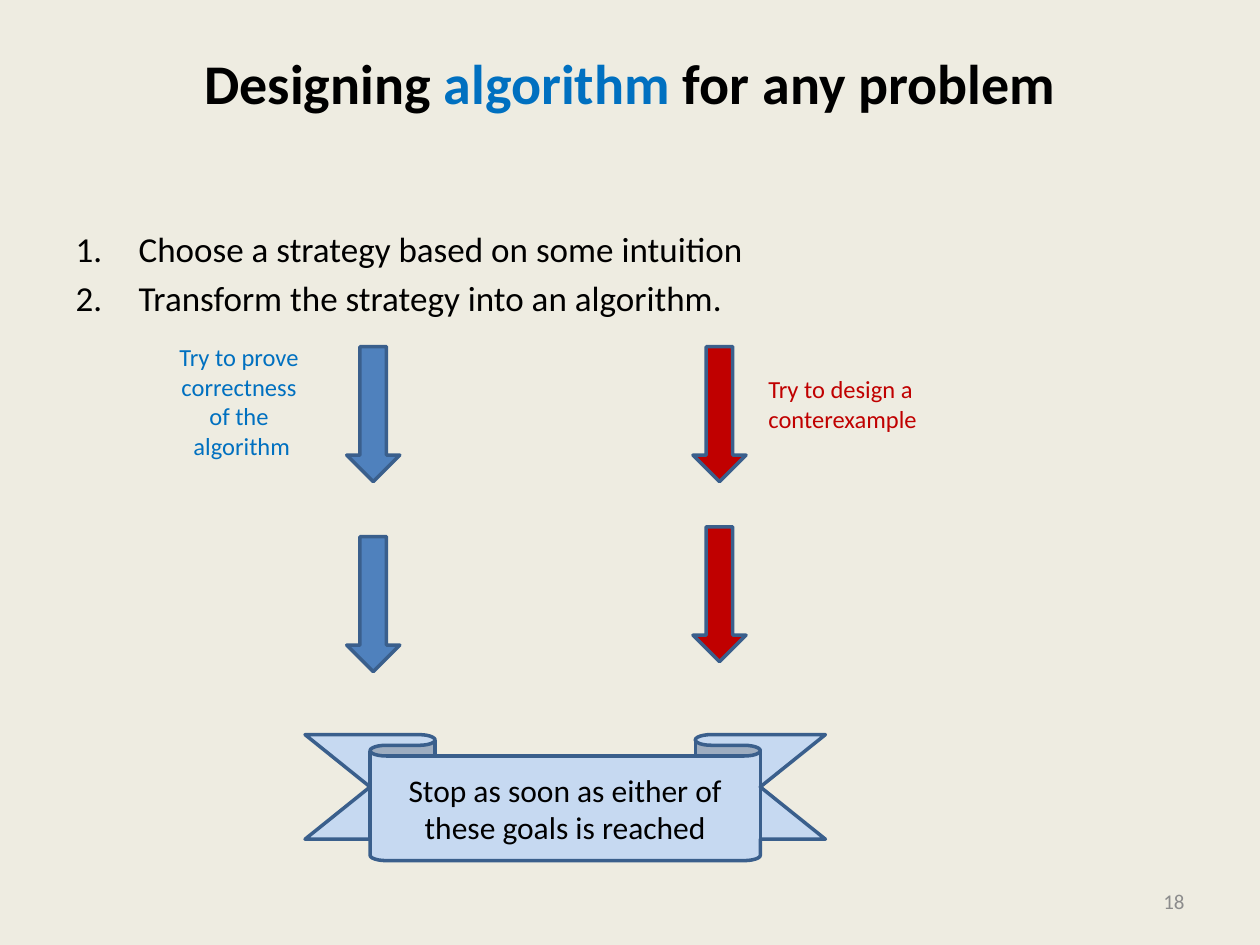
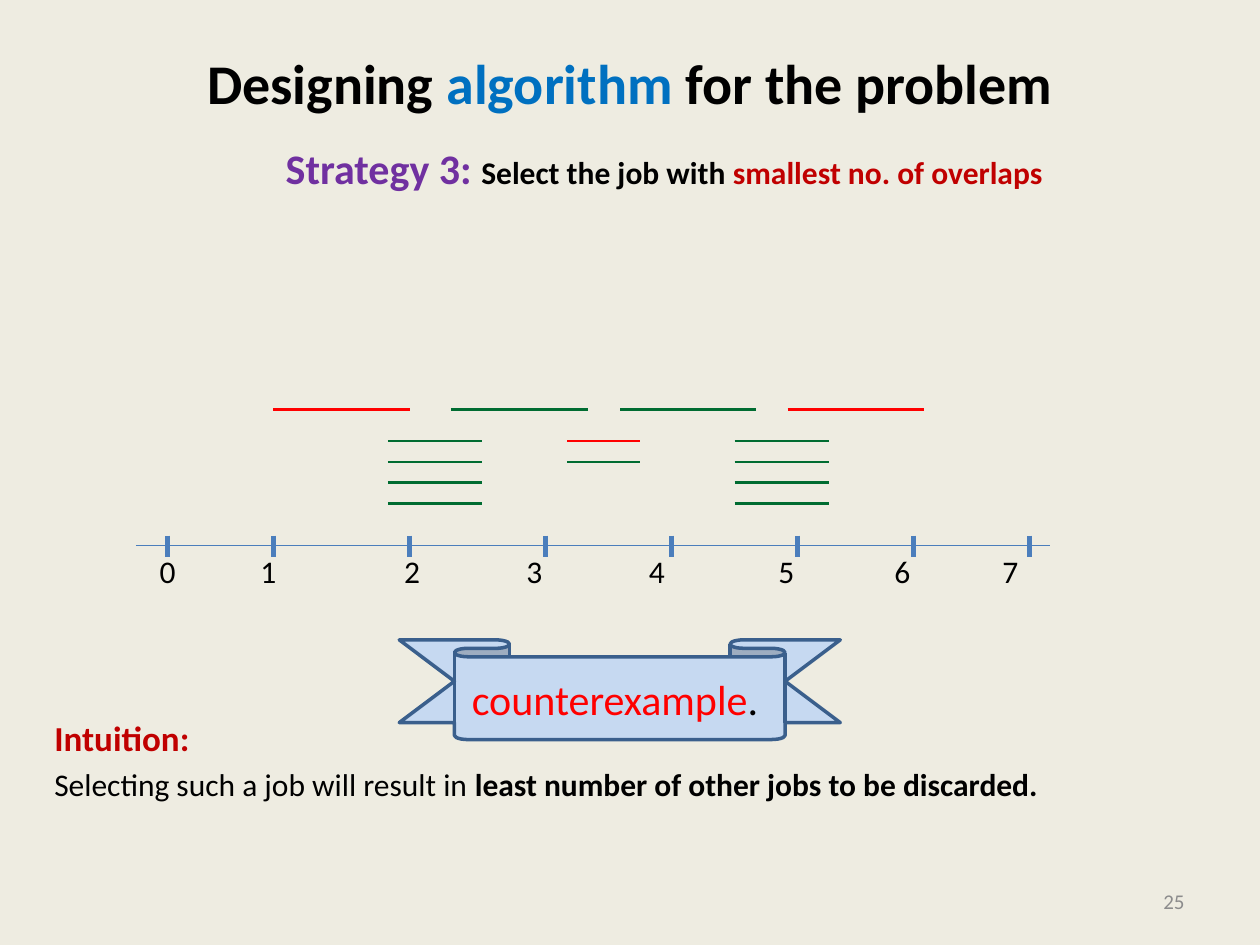
"""Build two slides on designing an algorithm and testing its strategy."""

from dataclasses import dataclass

from lxml import etree
from pptx import Presentation
from pptx.dml.color import RGBColor
from pptx.enum.shapes import MSO_CONNECTOR, MSO_SHAPE
from pptx.enum.text import MSO_ANCHOR, MSO_AUTO_SIZE, PP_ALIGN
from pptx.oxml.ns import qn
from pptx.util import Cm, Pt

STRAIGHT = MSO_CONNECTOR.STRAIGHT
DOWN_ARROW = MSO_SHAPE.DOWN_ARROW
RIBBON = MSO_SHAPE.DOWN_RIBBON
MIDDLE = MSO_ANCHOR.MIDDLE
FIT_SHAPE = MSO_AUTO_SIZE.SHAPE_TO_FIT_TEXT
LEFT, CENTER, RIGHT = PP_ALIGN.LEFT, PP_ALIGN.CENTER, PP_ALIGN.RIGHT
TITLE_AND_CONTENT = 1


@dataclass(frozen=True)
class Theme:
    """Colours and type sizes shared by the slides."""

    font: str = "Calibri"
    background: str = "EEECE1"
    ink: str = "000000"
    highlight: str = "0070C0"
    warning: str = "C00000"
    strategy: str = "7030A0"
    muted: str = "8C8C8C"
    arrow: str = "4F81BD"
    outline: str = "3A5F8C"
    ribbon: str = "C6D9F1"
    axis: str = "4B7EBC"
    job: str = "006C31"
    chosen_job: str = "FF0000"
    title_size: int = 32
    large_size: int = 24
    body_size: int = 20
    text_size: int = 18
    label_size: int = 14
    number_size: int = 12


THEME = Theme()


@dataclass(frozen=True)
class Box:
    """A frame in centimetres."""

    left: float
    top: float
    width: float
    height: float

    def lengths(self) -> tuple:
        """Return the frame as slide lengths."""
        return Cm(self.left), Cm(self.top), Cm(self.width), Cm(self.height)


@dataclass(frozen=True)
class Words:
    """A run of text with one look."""

    text: str
    size: int = THEME.text_size
    color: str = THEME.ink
    bold: bool = False


@dataclass(frozen=True)
class Arrow:
    """A block arrow pointing down."""

    left: float
    top: float
    color: str


@dataclass(frozen=True)
class Job:
    """A job drawn as a horizontal interval."""

    start: float
    end: float
    height: float
    color: str = THEME.job


TITLE_BOX = Box(1.27, 0.76, 22.86, 3.18)
TITLE_BOTTOM_MARGIN = 1.5
NUMBER_BOX = Box(18.21, 17.65, 5.92, 1.02)
BODY_TOP, BODY_HEIGHT = 4.45, 12.57

ARROW_WIDTH, ARROW_HEIGHT = 1.07, 2.72
PROOF_X, COUNTER_X = 6.99, 13.97
ARROWS = [
    Arrow(PROOF_X, 6.99, THEME.arrow),
    Arrow(COUNTER_X, 6.99, THEME.warning),
    Arrow(PROOF_X, 10.82, THEME.arrow),
    Arrow(COUNTER_X, 10.62, THEME.warning),
]

AXIS_Y, AXIS_START, AXIS_END = 11, 2.74, 21.16
TICK_TOP, TICK_BOTTOM = 10.8, 11.23
TICKS = [3.38, 5.51, 8.26, 11, 13.54, 16.08, 18.42, 20.75]
LABEL_TABS = [2.03, 4.93, 7.39, 9.86, 12.47, 14.81, 16.99]

TOP_ROW = 8.26
STACK_ROWS = [8.89 + 0.42 * row for row in range(4)]
JOBS = [
    Job(5.51, 8.26, TOP_ROW, THEME.chosen_job),
    Job(9.09, 11.86, TOP_ROW),
    Job(12.5, 15.24, TOP_ROW),
    Job(15.88, 18.62, TOP_ROW, THEME.chosen_job),
    Job(11.43, 12.9, STACK_ROWS[0], THEME.chosen_job),
    Job(11.43, 12.9, STACK_ROWS[1]),
    *(Job(start, start + 1.9, row) for start in (7.82, 14.81) for row in STACK_ROWS),
]


def rgb(color: str) -> RGBColor:
    """Turn a hex string into a colour."""
    return RGBColor.from_string(color)


def place(shape, box: Box) -> None:
    """Move and size a shape."""
    shape.left, shape.top, shape.width, shape.height = box.lengths()


def write(text_frame, lines: list[list[Words]], alignment=LEFT) -> None:
    """Write each list of words as one paragraph."""
    for index, line in enumerate(lines):
        paragraph = text_frame.add_paragraph() if index else text_frame.paragraphs[0]
        paragraph.alignment = alignment
        for words in line:
            run = paragraph.add_run()
            run.text = words.text
            run.font.name = THEME.font
            run.font.size = Pt(words.size)
            run.font.bold = words.bold
            run.font.color.rgb = rgb(words.color)


def set_list_style(paragraph, numbered: bool) -> None:
    """Number a paragraph with a hanging indent, or clear its bullet."""
    properties = paragraph._p.get_or_add_pPr()
    indent = Cm(1.27) if numbered else 0
    properties.set("marL", str(indent))
    properties.set("indent", str(-indent))
    if numbered:
        etree.SubElement(properties, qn("a:buFont"), typeface=THEME.font)
        etree.SubElement(properties, qn("a:buAutoNum"), type="arabicPeriod")
    else:
        etree.SubElement(properties, qn("a:buNone"))


def set_tabs(paragraph, positions: list[float]) -> None:
    """Give a paragraph left tab stops."""
    tabs = etree.SubElement(paragraph._p.get_or_add_pPr(), qn("a:tabLst"))
    for position in positions:
        etree.SubElement(tabs, qn("a:tab"), pos=str(Cm(position)), algn="l")


def add_label(shapes, box: Box, lines: list[list[Words]], alignment=LEFT, wrap: bool = False):
    """Add a text box and return its text frame."""
    text_frame = shapes.add_textbox(*box.lengths()).text_frame
    text_frame.word_wrap = wrap
    text_frame.auto_size = FIT_SHAPE
    write(text_frame, lines, alignment)
    return text_frame


def add_line(shapes, start: tuple, end: tuple, color: str, width: float) -> None:
    """Draw a plain straight line."""
    line = shapes.add_connector(STRAIGHT, *(Cm(value) for value in start + end))
    line.line.color.rgb = rgb(color)
    line.line.width = Pt(width)
    etree.SubElement(line._element.spPr, qn("a:effectLst"))


def add_outlined(shapes, preset, box: Box, color: str):
    """Add a filled preset shape with the shared outline."""
    shape = shapes.add_shape(preset, *box.lengths())
    shape.shadow.inherit = False
    shape.fill.solid()
    shape.fill.fore_color.rgb = rgb(color)
    shape.line.color.rgb = rgb(THEME.outline)
    shape.line.width = Pt(2)
    return shape


def add_ribbon(shapes, box: Box, words: list[Words]) -> None:
    """Add a ribbon holding a conclusion."""
    ribbon = add_outlined(shapes, RIBBON, box, THEME.ribbon)
    ribbon.adjustments[0] = 0.17
    ribbon.adjustments[1] = 0.75
    ribbon.text_frame.word_wrap = True
    ribbon.text_frame.vertical_anchor = MIDDLE
    write(ribbon.text_frame, [words], CENTER)


def add_titled_slide(presentation, ending: str, number: str):
    """Add a slide with the shared title and page number."""
    slide = presentation.slides.add_slide(presentation.slide_layouts[TITLE_AND_CONTENT])
    title = slide.shapes.title
    place(title, TITLE_BOX)
    title.text_frame.vertical_anchor = MIDDLE
    title.text_frame.margin_bottom = Cm(TITLE_BOTTOM_MARGIN)
    parts = [("Designing ", THEME.ink), ("algorithm", THEME.highlight), (ending, THEME.ink)]
    write(title.text_frame, [[Words(text, THEME.title_size, color, True) for text, color in parts]], CENTER)
    page = slide.shapes.add_textbox(*NUMBER_BOX.lengths()).text_frame
    page.word_wrap = True
    page.vertical_anchor = MIDDLE
    write(page, [[Words(number, THEME.number_size, THEME.muted)]], RIGHT)
    return slide


def fill_body(slide, left: float, width: float, lines: list[list[Words]], numbered: bool):
    """Fill the body placeholder and return its text frame."""
    body = slide.placeholders[1]
    place(body, Box(left, BODY_TOP, width, BODY_HEIGHT))
    write(body.text_frame, lines)
    for paragraph in body.text_frame.paragraphs:
        set_list_style(paragraph, numbered)
    return body.text_frame


def build_method_slide(presentation) -> None:
    """Show the proof and counterexample routes."""
    slide = add_titled_slide(presentation, " for any problem", "18")
    shapes = slide.shapes
    steps = ["Choose a strategy based on some intuition", "Transform the strategy into an algorithm."]
    fill_body(slide, 1.27, 22.86, [[Words(step, THEME.body_size)] for step in steps], True)
    for arrow in ARROWS:
        add_outlined(shapes, DOWN_ARROW, Box(arrow.left, arrow.top, ARROW_WIDTH, ARROW_HEIGHT), arrow.color)
    proof = ["Try to prove ", "correctness ", "of the ", "algorithm"]
    counter = ["Try to design a", "conterexample"]
    for box, lines, color, alignment in (
        (Box(3.35, 6.78, 3.05, 2.64), proof, THEME.highlight, CENTER),
        (Box(15.24, 7.42, 3.56, 1.45), counter, THEME.warning, LEFT),
    ):
        add_label(shapes, box, [[Words(line, THEME.label_size, color)] for line in lines], alignment)
    add_ribbon(shapes, Box(6.15, 14.81, 10.49, 2.54), [Words("Stop as soon as either of these goals is reached")])


def add_timeline(shapes) -> None:
    """Draw the time axis with its ticks and numbers."""
    add_line(shapes, (AXIS_START, AXIS_Y), (AXIS_END, AXIS_Y), THEME.axis, 0.75)
    for tick in TICKS:
        add_line(shapes, (tick, TICK_TOP), (tick, TICK_BOTTOM), THEME.axis, 3)
    numbers = "\t".join(str(index) for index in range(len(TICKS)))
    text_frame = add_label(shapes, Box(2.97, 11, 18.24, 1.02), [[Words(numbers)]], wrap=True)
    set_tabs(text_frame.paragraphs[0], LABEL_TABS)


def build_strategy_slide(presentation) -> None:
    """Show the jobs that defeat the third strategy."""
    slide = add_titled_slide(presentation, " for the problem", "25")
    shapes = slide.shapes
    body = fill_body(slide, 0.84, 24.33, [
        [Words("Intuition:", THEME.body_size, THEME.warning, True)],
        [
            Words("Selecting such a job will result in "),
            Words("least number of other jobs to be discarded.", bold=True),
        ],
    ], False)
    body.margin_top = Cm(10)
    add_timeline(shapes.add_group_shape().shapes)
    job_shapes = shapes.add_group_shape().shapes
    for job in JOBS:
        add_line(job_shapes, (job.start, job.height), (job.end, job.height), job.color, 1.5)
    add_label(shapes, Box(5.51, 2.74, 15.9, 1.27), [[
        Words("Strategy 3: ", THEME.large_size, THEME.strategy, True),
        Words("Select the job with ", bold=True),
        Words("smallest no. of overlaps", color=THEME.warning, bold=True),
    ]])
    add_ribbon(shapes, Box(8.05, 12.9, 8.89, 2.01), [
        Words("counterexample", THEME.large_size, THEME.chosen_job),
        Words(". ", THEME.large_size),
    ])


def main() -> None:
    """Build and save the presentation."""
    presentation = Presentation()
    presentation.slide_width, presentation.slide_height = Cm(25.4), Cm(19.05)
    background = presentation.slide_master.background.fill
    background.solid()
    background.fore_color.rgb = rgb(THEME.background)
    build_method_slide(presentation)
    build_strategy_slide(presentation)
    presentation.save("out.pptx")


if __name__ == "__main__":
    main()
